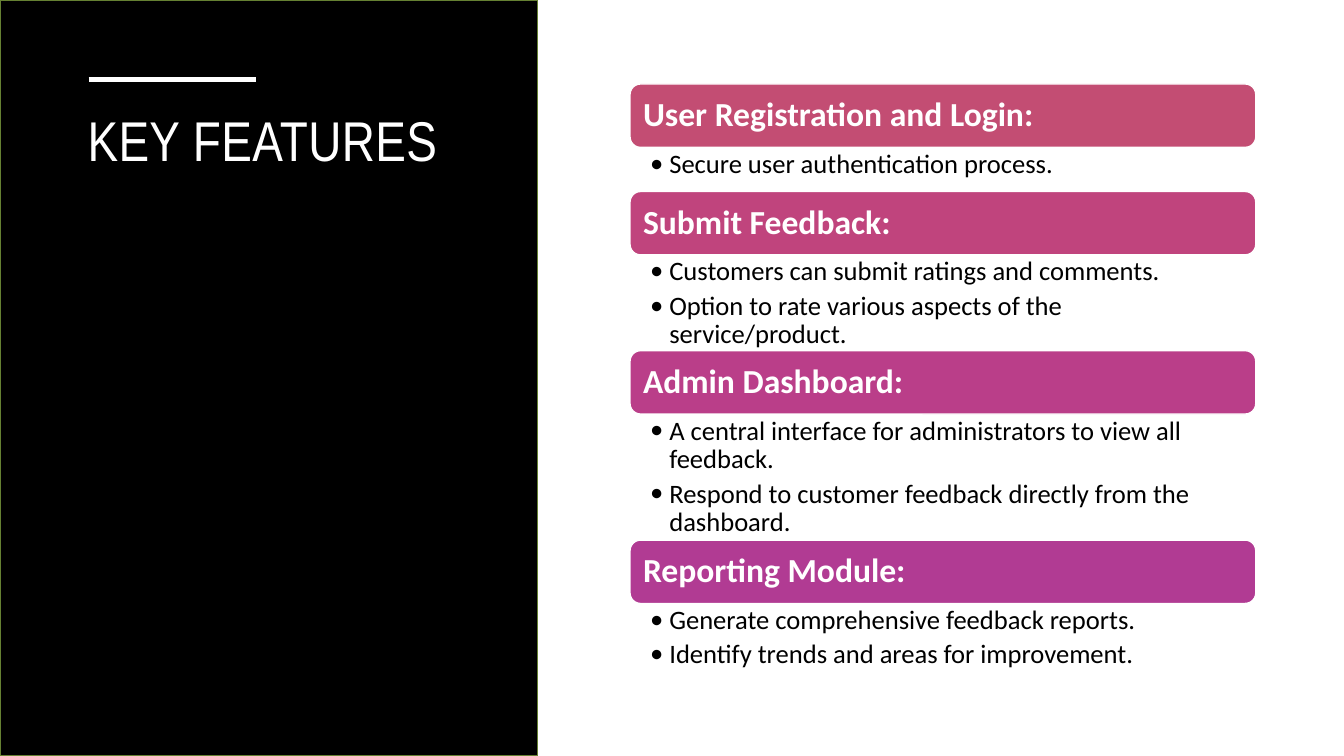
from pptx import Presentation, util as u
from pptx.dml.color import RGBColor
from pptx.enum import shapes, text
from pptx.oxml.ns import qn
from lxml import etree

COLORS = {"panel": "000000", "edge": "658032", "light": "FFFFFF", "body": "000000",
          "rose": "C34D73", "pink": "C0447D", "magenta": "BA3E89", "purple": "B13B93"}

# heading, bar colour, rows taken by the bullets, bullets
FEATURES = [
    ("User Registration and Login:", "rose", 2.1,
     ["Secure user authentication process."]),
    ("Submit Feedback:", "pink", 4.56,
     ["Customers can submit ratings and comments.",
      "Option to rate various aspects of the service/product."]),
    ("Admin Dashboard:", "magenta", 6,
     ["A central interface for administrators to view all feedback.",
      "Respond to customer feedback directly from the dashboard."]),
    ("Reporting Module:", "purple", 3.25,
     ["Generate comprehensive feedback reports.",
      "Identify trends and areas for improvement."]),
]


def rgb(name):
    return RGBColor.from_string(COLORS[name])


def write(p, words, size, color, font="Calibri", bold=False, line=1.0, after=0,
          spacing=None, bullet=False):
    """Fill one paragraph with formatted text."""
    p.alignment = text.PP_ALIGN.LEFT
    p.line_spacing, p.space_after = line, u.Pt(after)
    r = p.add_run()
    r.text = words
    r.font.size, r.font.name, r.font.bold = u.Pt(size), font, bold
    r.font.color.rgb = rgb(color)
    if spacing is not None:
        r.font._element.set("spc", str(round(spacing * 100)))
    if bullet:
        pPr = p._p.get_or_add_pPr()
        indent = u.Inches(0.19)
        pPr.set("marL", str(indent))
        pPr.set("indent", str(-indent))
        etree.SubElement(pPr, qn("a:buFont")).set("typeface", "Calibri")
        etree.SubElement(pPr, qn("a:buChar")).set("char", "•")


class Deck:
    """Slide on a grid of 64 columns by 36 rows."""
    COLS, ROWS = 64, 36

    def __init__(self):
        self.prs = Presentation()
        self.prs.slide_width, self.prs.slide_height = u.Inches(13.33), u.Inches(7.5)
        self.s = self.prs.slides.add_slide(self.prs.slide_layouts[6])

    def x(self, cols):
        return round(self.prs.slide_width * cols / self.COLS)

    def y(self, rows):
        return round(self.prs.slide_height * rows / self.ROWS)

    def area(self, col, row, cols, rows):
        return self.x(col), self.y(row), self.x(cols), self.y(rows)

    def block(self, kind, area, fill, edge):
        sp = self.s.shapes.add_shape(kind, *self.area(*area))
        sp.shadow.inherit = False
        sp.fill.solid()
        sp.fill.fore_color.rgb = rgb(fill)
        sp.line.color.rgb = rgb(edge)
        sp.line.width = u.Pt(1)
        return sp

    def rule(self, start, end, row, color, width):
        sp = self.s.shapes.add_connector(shapes.MSO_CONNECTOR.STRAIGHT, self.x(start),
                                         self.y(row), self.x(end), self.y(row))
        sp.line.color.rgb, sp.line.width = rgb(color), u.Pt(width)
        etree.SubElement(sp._element.spPr, qn("a:effectLst"))

    def box(self, area, lines, insets=(0.1, 0.05, 0.1, 0.05), **style):
        sp = self.s.shapes.add_textbox(*self.area(*area))
        self.fill_text(sp.text_frame, lines, insets, **style)

    def bar(self, area, fill, heading):
        sp = self.block(shapes.MSO_SHAPE.ROUNDED_RECTANGLE, area, fill, "light")
        sp.text_frame.vertical_anchor = text.MSO_ANCHOR.MIDDLE
        self.fill_text(sp.text_frame, [heading], (0.1,) * 4, size=24, color="light",
                       bold=True, line=0.9)

    def fill_text(self, tf, lines, insets, **style):
        tf.word_wrap = True
        (tf.margin_left, tf.margin_top,
         tf.margin_right, tf.margin_bottom) = map(u.Inches, insets)
        for i, words in enumerate(lines):
            p = tf.add_paragraph() if i else tf.paragraphs[0]
            write(p, words, **style)


def main():
    deck = Deck()

    # Title panel
    deck.block(shapes.MSO_SHAPE.RECTANGLE, (0, 0, 25.6, 36), "panel", "edge")
    deck.rule(4.22, 12.2, 3.79, "light", 3.5)
    deck.box((3.7, 4.8, 19.54, 19.25), ["KEY FEATURES"], size=40, color="light",
             font="Arial Narrow", spacing=0.3)

    # Feature list, stacked from the top
    left, width, bar_rows, row = 30, 29.8, 3.02, 4
    for heading, color, rows, bullets in FEATURES:
        deck.bar((left, row, width, bar_rows), color, heading)
        row += bar_rows
        deck.box((left, row, width, rows), bullets, (0.2, 0.03, 0.19, 0.03),
                 size=19, color="body", line=0.9, after=4, bullet=True)
        row += rows

    deck.prs.save("out.pptx")


if __name__ == "__main__":
    main()
